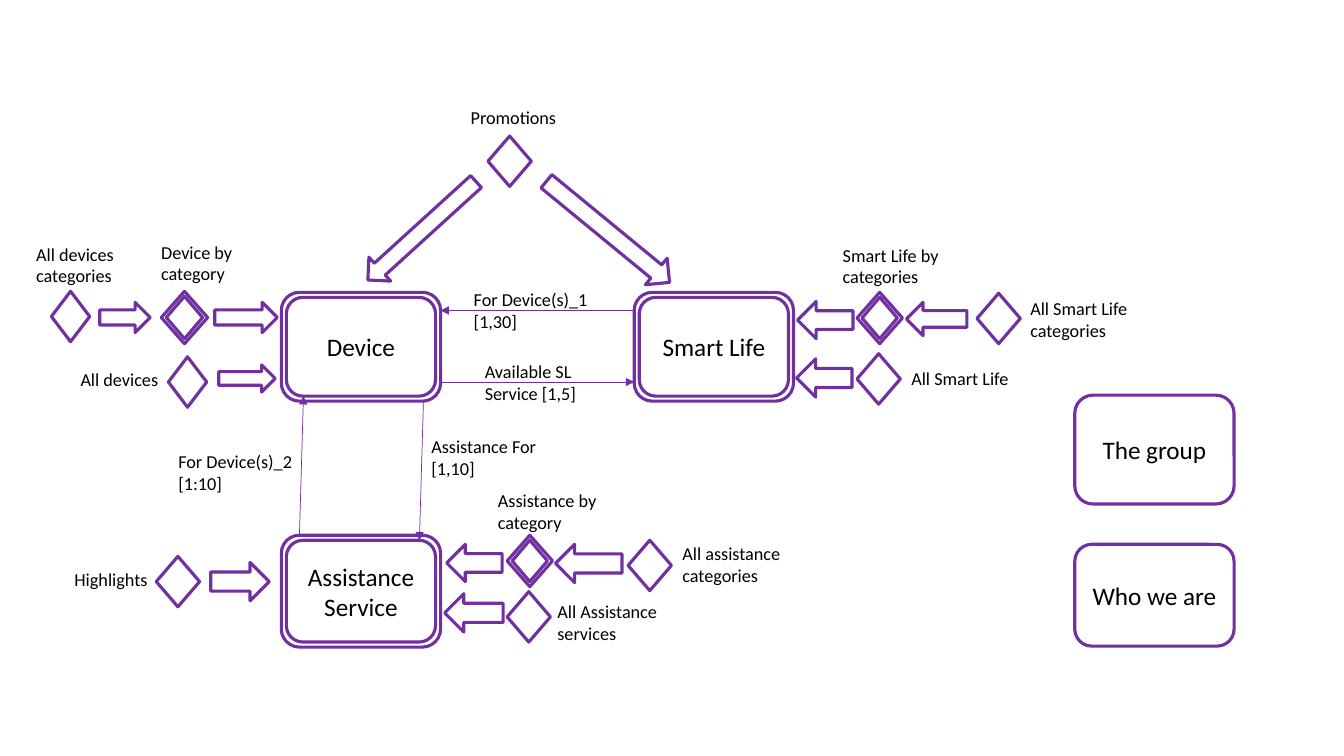
"""Build a slide that maps devices, smart life and assistance pages."""
from math import cos, radians, sin

from lxml import etree
from pptx import Presentation
from pptx.dml.color import RGBColor
from pptx.enum.shapes import MSO_CONNECTOR, MSO_SHAPE
from pptx.enum.text import MSO_ANCHOR, MSO_AUTO_SIZE, PP_ALIGN
from pptx.oxml.ns import qn
from pptx.util import Inches, Pt

ROUND, DIAMOND = MSO_SHAPE.ROUNDED_RECTANGLE, MSO_SHAPE.DIAMOND
RIGHT, LEFT = MSO_SHAPE.RIGHT_ARROW, MSO_SHAPE.LEFT_ARROW
STRAIGHT = MSO_CONNECTOR.STRAIGHT
MIDDLE, CENTER = MSO_ANCHOR.MIDDLE, PP_ALIGN.CENTER
GROW = MSO_AUTO_SIZE.SHAPE_TO_FIT_TEXT


class Theme:
    font = "Calibri"
    ink = RGBColor(0x00, 0x00, 0x00)
    paper = RGBColor(0xFF, 0xFF, 0xFF)
    purple = RGBColor(0x70, 0x30, 0xA0)
    title = Pt(18)
    label = Pt(13)
    thick = Pt(2.25)
    thin = Pt(0.5)


def paint(shape, text=""):
    """Give a shape its fill, its outline and a centred title."""
    shape.shadow.inherit = False
    shape.fill.solid()
    shape.fill.fore_color.rgb = Theme.paper
    shape.line.color.rgb = Theme.purple
    shape.line.width = Theme.thick
    if text:
        write(shape.text_frame, text, Theme.title)
        shape.text_frame.vertical_anchor = MIDDLE
        shape.text_frame.paragraphs[0].alignment = CENTER


def write(frame, text, size):
    """Set the text of a frame and format its runs."""
    frame.text = text
    frame.word_wrap = True
    for para in frame.paragraphs:
        for run in para.runs:
            run.font.name = Theme.font
            run.font.size = size
            run.font.color.rgb = Theme.ink


deck = Presentation()
deck.slide_width, deck.slide_height = Inches(13.33), Inches(7.5)
slide = deck.slides.add_slide(deck.slide_layouts[6])
shapes = slide.shapes

for top, high, text in [(5.4, 1.01, "Who we are"), (3.92, 1.08, "The group")]:
    box = shapes.add_shape(ROUND, Inches(10.66), Inches(top), Inches(1.58), Inches(high))
    paint(box, text)

frames = [
    (2.79, 2.9, 1.58, 1.08, "Device"),
    (6.29, 2.9, 1.58, 1.08, "Smart Life"),
    (2.79, 5.31, 1.58, 1.11, "Assistance Service"),
    (8.5, 2.9, 0.45, 0.51, ""),
    (1.6, 2.89, 0.46, 0.52, ""),
    (5.03, 5.31, 0.45, 0.51, ""),
]
for left, top, wide, high, text in frames:
    rings = []
    for inset in (0.05, 0):
        half_w, half_h = wide / 2 - inset, high / 2 - inset
        curve = 0.18 - inset / 3
        ring = []
        for quad in range(4):
            if text:
                side = 1 if quad in (0, 3) else -1
                down = 1 if quad in (0, 1) else -1
                turns = [radians(quad * 90 + step * 15) for step in range(7)]
                ring += [(side * (half_w - curve) + curve * cos(turn),
                          down * (half_h - curve) + curve * sin(turn)) for turn in turns]
            else:
                turn = radians(quad * 90)
                ring.append((half_w * cos(turn), half_h * sin(turn)))
        rings.append([(Inches(left + wide / 2 + x), Inches(top + high / 2 + y))
                      for x, y in ring])
    inner, outer = rings
    pen = shapes.build_freeform(*inner[0])
    pen.add_line_segments(inner[1:], close=True)
    pen.move_to(*outer[0])
    pen.add_line_segments(outer[1:], close=True)
    paint(pen.convert_to_shape(), text)

links = [
    (4.37, 3.79, 6.29, 3.79),
    (6.29, 3.08, 4.37, 3.08),
    (4.2, 3.97, 4.16, 5.36),
    (2.97, 5.31, 3.01, 3.93),
]
for ends in links:
    link = shapes.add_connector(STRAIGHT, *[Inches(end) for end in ends])
    link.line.color.rgb = Theme.purple
    link.line.width = Theme.thin
    etree.SubElement(link.line._get_or_add_ln(), qn("a:tailEnd"), type="triangle")
    etree.SubElement(link._element.spPr, qn("a:effectLst"))

arrows = [
    (RIGHT, 5.24, 2.13, 1.58, 0.34, 39.4),
    (LEFT, 3.46, 2.13, 1.45, 0.32, 317.7),
    (RIGHT, 2.13, 3, 0.62, 0.3, 0),
    (RIGHT, 2.17, 3.62, 0.56, 0.27, 0),
    (RIGHT, 0.99, 3, 0.5, 0.3, 0),
    (RIGHT, 2.09, 5.58, 0.58, 0.38, 0),
    (LEFT, 4.43, 5.4, 0.55, 0.37, 0),
    (LEFT, 7.91, 2.99, 0.55, 0.37, 0),
    (LEFT, 7.9, 3.56, 0.55, 0.38, 0),
    (LEFT, 4.41, 5.89, 0.58, 0.38, 0),
    (LEFT, 8.99, 3, 0.6, 0.33, 0),
    (LEFT, 5.51, 5.4, 0.66, 0.38, 0),
]
for kind, left, top, wide, high, turn in arrows:
    arrow = shapes.add_shape(kind, Inches(left), Inches(top), Inches(wide), Inches(high))
    arrow.rotation = turn
    paint(arrow)

gems = [
    (1.67, 3.54, 0.38), (0.51, 2.89, 0.38), (8.5, 3.51, 0.43), (5.03, 5.87, 0.43),
    (6.23, 5.36, 0.43), (9.69, 2.91, 0.43), (4.84, 1.35, 0.43), (1.55, 5.52, 0.43),
]
for left, top, wide in gems:
    paint(shapes.add_shape(DIAMOND, Inches(left), Inches(top), Inches(wide), Inches(0.5)))

labels = [
    (4.71, 3.53, 0.54, "Available SL\nService [1,5]"),
    (4.6, 2.81, 0.54, "For Device(s)_1 [1,30]"),
    (4.18, 4.27, 0.54, "Assistance For\n[1,10]"),
    (1.67, 4.42, 0.54, "For Device(s)_2\n[1:10]"),
    (0.26, 2.36, 0.54, "All devices categories"),
    (0.7, 3.6, 0.32, "All devices"),
    (1.5, 2.34, 0.54, "Device by category"),
    (6.67, 5.33, 0.54, "All assistance categories"),
    (4.84, 4.81, 0.54, "Assistance by category"),
    (4.57, 1.01, 0.32, "Promotions"),
    (0.64, 5.59, 0.32, "Highlights"),
    (5.43, 5.91, 0.54, "All Assistance services"),
    (8.94, 3.59, 0.32, "All Smart Life"),
    (8.26, 2.37, 0.54, "Smart Life by categories"),
    (10.12, 2.9, 0.54, "All Smart Life categories"),
]
for left, top, high, text in labels:
    label = shapes.add_textbox(Inches(left), Inches(top), Inches(1.35), Inches(high))
    write(label.text_frame, text, Theme.label)
    label.text_frame.auto_size = GROW

deck.save("out.pptx")
